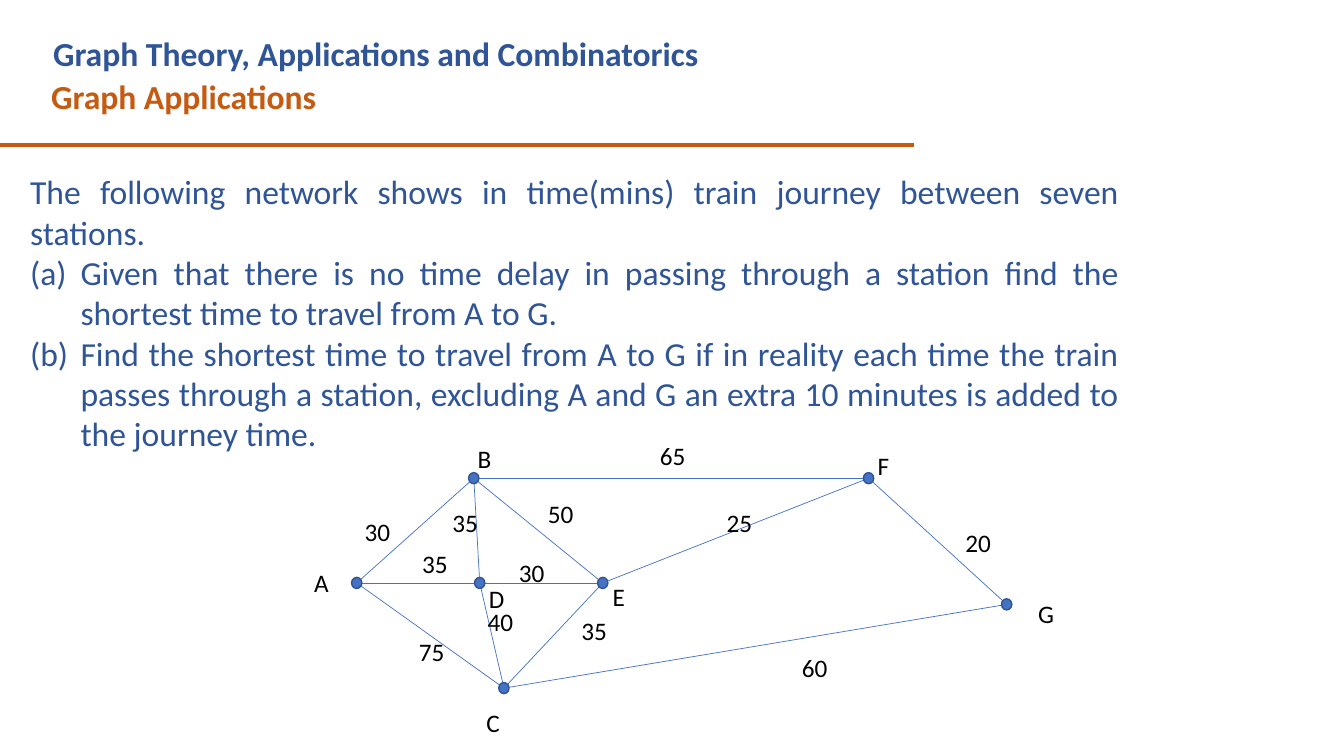
import pptx
import pptx.util
import pptx.dml.color
import pptx.enum.shapes
import pptx.enum.text
import pptx.oxml.ns
from lxml import etree

Cm = pptx.util.Cm
Pt = pptx.util.Pt


def color(value):
    return pptx.dml.color.RGBColor.from_string(value)


def add_text(left, top, width, height, lines, text_color, font_format):
    shape = slide.shapes.add_textbox(Cm(left), Cm(top), Cm(width), Cm(height))
    frame = shape.text_frame
    frame.word_wrap = True
    for index, line in enumerate(lines):
        paragraph = frame.paragraphs[0] if index == 0 else frame.add_paragraph()
        run = paragraph.add_run()
        run.text = line
        run.font.color.rgb = color(text_color)
        for name, value in font_format.items():
            setattr(run.font, name, value)
    return frame.paragraphs


presentation = pptx.Presentation()
presentation.slide_width = Cm(33.87)
presentation.slide_height = Cm(19.05)
slide = presentation.slides.add_slide(presentation.slide_layouts[6])

heading_format = {"name": "Calibri", "size": Pt(24), "bold": True}
body_format = {"name": "Calibri", "size": Pt(24)}
label_format = {"name": "Calibri", "size": Pt(18)}

add_text(1.04, 1.8, 22.23, 1.27, ["Graph Applications"], "C55A11", heading_format)
add_text(1.09, 0.71, 20.83, 1.27, ["Graph Theory, Applications and Combinatorics"],
         "2F5597", heading_format)

question = [
    "The following network shows in time(mins) train journey between seven stations.",
    "Given that there is no time delay in passing through a station find the "
    "shortest time to travel from A to G.",
    "Find the shortest time to travel from A to G if in reality each time the train "
    "passes through a station, excluding A and G an extra 10 minutes is added to "
    "the journey time.",
]
paragraphs = add_text(0.51, 4.19, 27.94, 7.44, question, "2F5597", body_format)
for index, paragraph in enumerate(paragraphs):
    paragraph.alignment = pptx.enum.text.PP_ALIGN.JUSTIFY
    if index > 0:
        properties = paragraph._p.get_or_add_pPr()
        properties.set("marL", str(Cm(1.27)))
        properties.set("indent", str(-Cm(1.27)))
        numbering = etree.SubElement(properties, pptx.oxml.ns.qn("a:buAutoNum"))
        numbering.set("type", "alphaLcParenBoth")

stations = {
    "A": (8.99, 14.69),
    "B": (11.94, 12.05),
    "C": (12.7, 17.34),
    "D": (12.09, 14.69),
    "E": (15.19, 14.69),
    "F": (21.89, 12.05),
    "G": (25.37, 15.23),
}
routes = ["AE", "AB", "BE", "BD", "DC", "AC", "CE", "BF", "EF", "CG", "FG"]

lines = [((-0.03, 3.66), (23.04, 3.66), "C55A11", 3)]
for start, end in routes:
    lines.append((stations[start], stations[end], "4472C4", 0.5))

for start, end, line_color, line_width in lines:
    connector = slide.shapes.add_connector(
        pptx.enum.shapes.MSO_CONNECTOR.STRAIGHT,
        Cm(start[0]), Cm(start[1]), Cm(end[0]), Cm(end[1]))
    connector.line.color.rgb = color(line_color)
    connector.line.width = Pt(line_width)
    etree.SubElement(connector._element.spPr, pptx.oxml.ns.qn("a:effectLst"))

dot_width, dot_height = 0.26, 0.28
for x, y in stations.values():
    shape = slide.shapes.add_shape(
        pptx.enum.shapes.MSO_SHAPE.OVAL, Cm(x - dot_width / 2), Cm(y - dot_height / 2),
        Cm(dot_width), Cm(dot_height))
    shape.shadow.inherit = False
    shape.fill.solid()
    shape.fill.fore_color.rgb = color("4472C4")
    shape.line.color.rgb = color("325491")
    shape.line.width = Pt(1)

labels = [
    ("30", 8.94, 12.88, 1.42),
    ("65", 16.38, 10.97, 2.03),
    ("20", 24.08, 13.16, 1.42),
    ("60", 19.96, 16.31, 2.26),
    ("25", 18.06, 12.65, 1.55),
    ("50", 13.56, 12.42, 2.06),
    ("30", 12.83, 13.92, 1.2),
    ("35", 11.15, 12.65, 1.3),
    ("35", 10.39, 13.69, 1.5),
    ("35", 14.4, 15.39, 1.55),
    ("40", 12.04, 15.16, 1.52),
    ("75", 10.31, 15.9, 1.3),
    ("A", 7.67, 14.17, 1.2),
    ("G", 25.91, 14.94, 1.2),
    ("B", 11.79, 11.05, 1.2),
    ("F", 21.87, 11.23, 1.2),
    ("C", 12.01, 17.7, 1.2),
    ("D", 12.07, 14.58, 1.2),
    ("E", 15.19, 14.53, 1.2),
]
for label, left, top, width in labels:
    add_text(left, top, width, 1.02, [label], "000000", label_format)

presentation.save("out.pptx")
